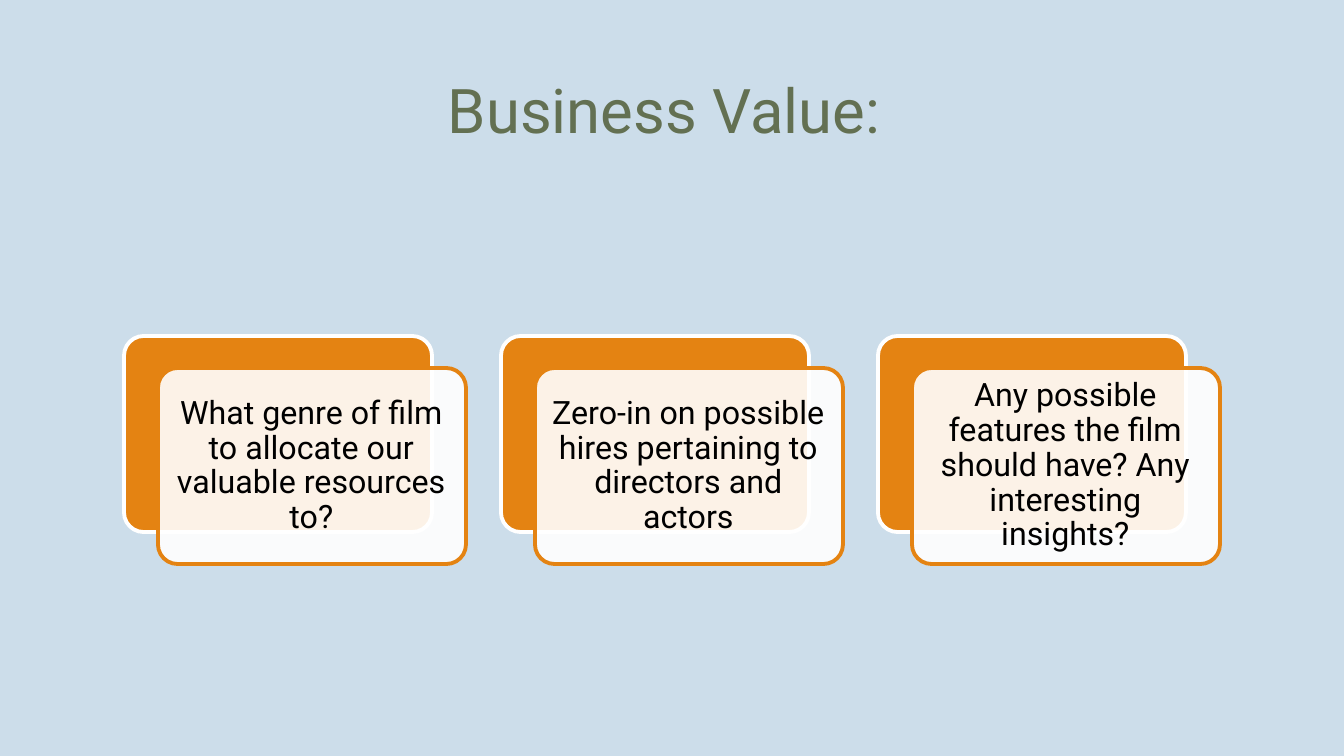
from lxml.etree import SubElement
from pptx import Presentation
from pptx.dml.color import RGBColor
from pptx.enum.shapes import MSO_SHAPE
from pptx.enum.text import MSO_ANCHOR, PP_ALIGN
from pptx.oxml.ns import qn
from pptx.util import Emu, Pt

SCALE = 914400 / 100.8
FONT = "Roboto"
COLORS = {
    "sky": "CCDDEA",
    "olive": "637052",
    "orange": "E48312",
    "white": "FFFFFF",
    "black": "000000",
}
GOALS = [
    "What genre of film to allocate our valuable resources to?",
    "Zero-in on possible hires pertaining to directors and actors",
    "Any possible features the film should have? Any interesting insights?",
]
LEFT, TOP, STEP = 124, 336, 377
WIDTH, HEIGHT = 308, 196


def px(*sizes):
    """Turn pixel lengths into EMU."""
    return [Emu(round(size * SCALE)) for size in sizes]


def color(name):
    """Look up a named colour."""
    return RGBColor.from_string(COLORS[name])


def add_box(slide, kind, box, fill, line=None, alpha=None):
    """Draw a filled shape with an optional outline and opacity."""
    shape = slide.shapes.add_shape(kind, *px(*box))
    shape.shadow.inherit = False
    shape.fill.solid()
    shape.fill.fore_color.rgb = color(fill)
    if alpha:
        tint = shape.fill._xPr.find(qn("a:solidFill"))[0]
        SubElement(tint, qn("a:alpha"), val=str(alpha * 1000))
    if line:
        shape.line.color.rgb = color(line)
        shape.line.width = Pt(2.75)
    else:
        shape.line.fill.background()
    return shape


def add_text(slide, box, text, size, tone, anchor, pads, lead):
    """Write one centred paragraph in a wrapping text box."""
    frame = slide.shapes.add_textbox(*px(*box)).text_frame
    frame.word_wrap = True
    frame.vertical_anchor = anchor
    side, edge = px(*pads)
    frame.margin_left = frame.margin_right = side
    frame.margin_top = frame.margin_bottom = edge
    para = frame.paragraphs[0]
    para.alignment = PP_ALIGN.CENTER
    para.line_spacing = lead
    run = para.add_run()
    run.text = text
    run.font.name = FONT
    run.font.size = Pt(size)
    run.font.color.rgb = color(tone)


def add_card(slide, left, text):
    """Draw a goal on a pale card over an orange one."""
    layers = [(0, 0, "orange", "white", None), (34, 32, "white", "orange", 90)]
    for right, down, fill, line, alpha in layers:
        box = (left + right, TOP + down, WIDTH, HEIGHT)
        card = add_box(slide, MSO_SHAPE.ROUNDED_RECTANGLE, box, fill, line, alpha)
        card.adjustments[0] = 0.1
    box = (left + 39, TOP + 38, 297, 184)
    add_text(slide, box, text, 23, "black", MSO_ANCHOR.MIDDLE, (10, 10), 0.9)


def main():
    """Build and save the slide."""
    deck = Presentation()
    deck.slide_width, deck.slide_height = px(1344, 756)
    slide = deck.slides.add_slide(deck.slide_layouts[6])
    add_box(slide, MSO_SHAPE.RECTANGLE, (0, 0, 1344, 756), "sky")
    add_text(slide, (71, 76, 1202, 163), "Business Value: ", 44, "olive",
             MSO_ANCHOR.TOP, (10, 5), 0.89)
    for index, goal in enumerate(GOALS):
        add_card(slide, LEFT + index * STEP, goal)
    deck.save("out.pptx")


if __name__ == "__main__":
    main()
